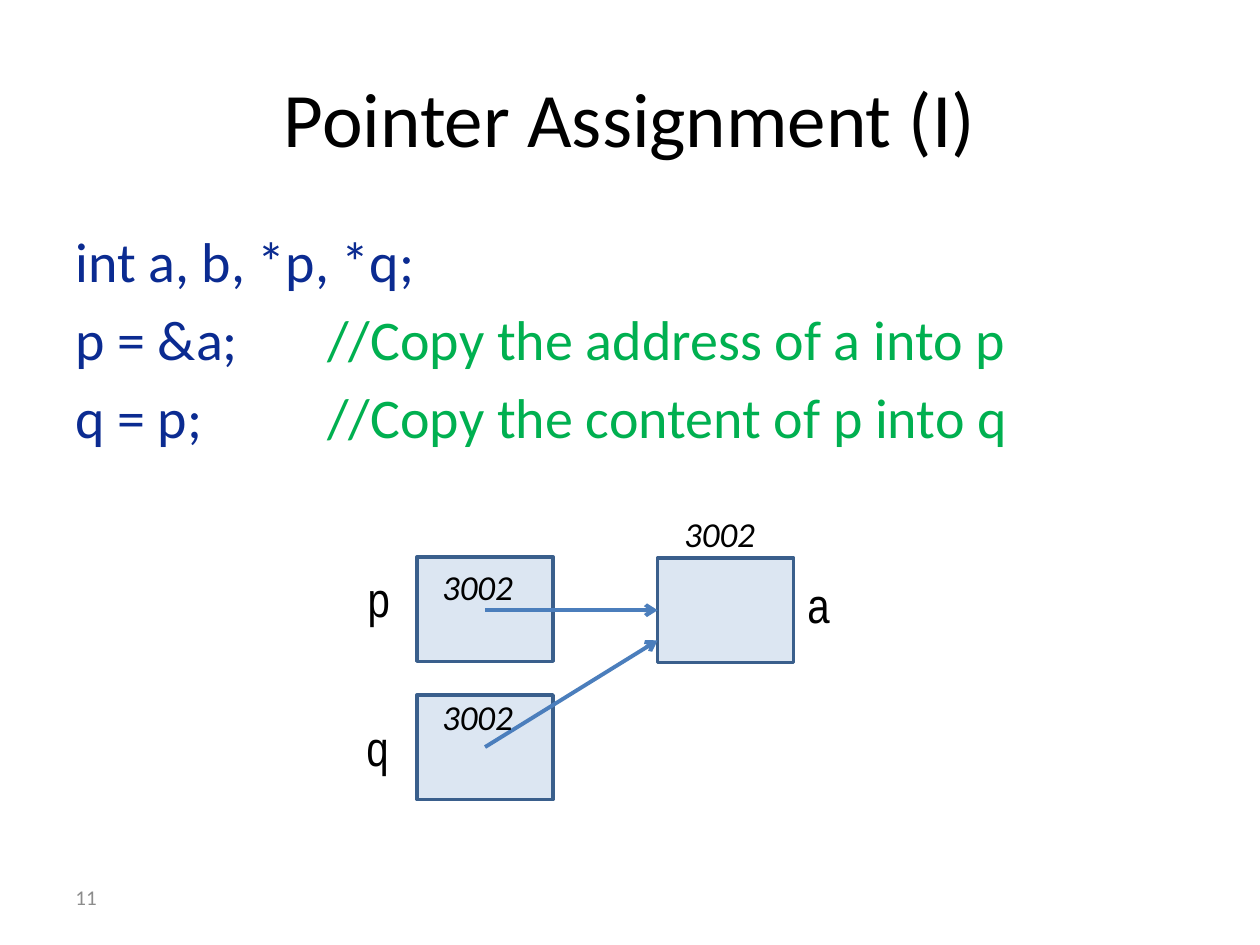
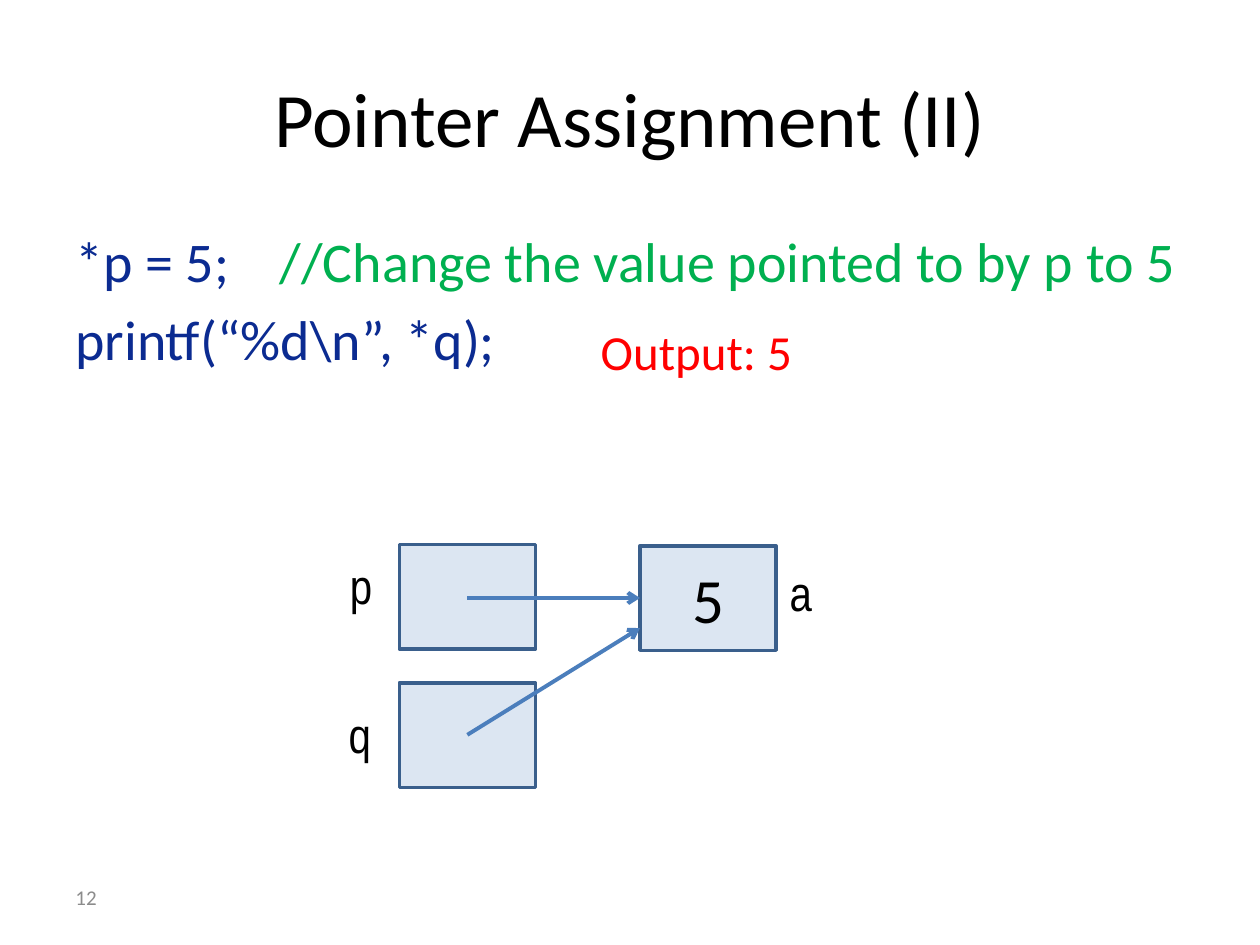
from lxml.etree import SubElement
from pptx import Presentation
from pptx.dml.color import RGBColor
from pptx.enum.shapes import MSO_CONNECTOR as Connector, MSO_SHAPE as Preset
from pptx.enum.text import MSO_ANCHOR as Anchor, MSO_AUTO_SIZE as AutoSize, PP_ALIGN as Align
from pptx.oxml.ns import qn
from pptx.util import Pt

BLACK = RGBColor(0x00, 0x00, 0x00)
CODE_BLUE = RGBColor(0x0B, 0x2B, 0x91)
COMMENT_GREEN = RGBColor(0x00, 0xB0, 0x50)
OUTPUT_RED = RGBColor(0xFF, 0x00, 0x00)
NUMBER_GREY = RGBColor(0x8C, 0x8C, 0x8C)
CELL_FILL = RGBColor(0xDC, 0xE6, 0xF2)
CELL_EDGE = RGBColor(0x3A, 0x5F, 0x8C)
ARROW_BLUE = RGBColor(0x4B, 0x7E, 0xBC)

BODY_FONT = "Calibri"
LABEL_FONT = "Arial Narrow"

CELL_W, CELL_H = 77.76, 59.76
TARGET_X = 137.5  # left edge of cell a, measured from cell p
ROW_STEP = 79  # from cell p down to cell q


class Deck:
    """Holds the style and the current slide."""

    def __init__(self):
        """Open an empty 10 by 7.5 inch presentation."""
        self.file = Presentation()
        self.file.slide_width, self.file.slide_height = Pt(720), Pt(540)
        self.slide = None

    def new_slide(self, title, number):
        """Start a slide with its title and number."""
        self.slide = self.file.slides.add_slide(self.file.slide_layouts[6])
        self.text(title, 36, 21.6, 648, 90, 44, anchor=Anchor.MIDDLE, align=Align.CENTER)
        self.text(number, 36, 498.24, 168, 28.8, 12, NUMBER_GREY, anchor=Anchor.MIDDLE)

    def run(self, paragraph, words, size, color, font=BODY_FONT, italic=False):
        """Add one styled run."""
        run = paragraph.add_run()
        run.text = words
        run.font.size, run.font.name = Pt(size), font
        run.font.italic = italic
        run.font.color.rgb = color

    def text(self, words, x, y, w, h, size, color=BLACK, font=BODY_FONT, italic=False,
             anchor=Anchor.TOP, align=Align.LEFT, wrap=True):
        """Add a text box with one line."""
        frame = self.slide.shapes.add_textbox(Pt(x), Pt(y), Pt(w), Pt(h)).text_frame
        frame.word_wrap, frame.auto_size = wrap, AutoSize.NONE
        frame.vertical_anchor = anchor
        frame.paragraphs[0].alignment = align
        self.run(frame.paragraphs[0], words, size, color, font, italic)

    def code(self, lines, comment_x):
        """Add code lines, their comments aligned on a tab stop."""
        frame = self.slide.shapes.add_textbox(Pt(36), Pt(126), Pt(648), Pt(356.4)).text_frame
        frame.word_wrap = True
        for index, (statement, comment) in enumerate(lines):
            line = frame.add_paragraph() if index else frame.paragraphs[0]
            line.space_before = Pt(6)
            self.run(line, statement + ("\t" if comment else ""), 32, CODE_BLUE)
            if comment:
                stops = SubElement(line._p.get_or_add_pPr(), qn("a:tabLst"))
                SubElement(stops, qn("a:tab"), pos=str(Pt(comment_x)), algn="l")
                self.run(line, comment, 32, COMMENT_GREEN)

    def cell(self, x, y, value=""):
        """Add a memory cell, with a value if it has one."""
        cell = self.slide.shapes.add_shape(Preset.RECTANGLE, Pt(x), Pt(y), Pt(CELL_W), Pt(CELL_H))
        cell.shadow.inherit = False
        cell.fill.solid()
        cell.fill.fore_color.rgb = CELL_FILL
        cell.line.color.rgb, cell.line.width = CELL_EDGE, Pt(2)
        if value:
            cell.text_frame.vertical_anchor = Anchor.MIDDLE
            cell.text_frame.paragraphs[0].alignment = Align.CENTER
            self.run(cell.text_frame.paragraphs[0], value, 36, BLACK)

    def arrow(self, x1, y1, x2, y2):
        """Add a pointer arrow with an open head."""
        arrow = self.slide.shapes.add_connector(Connector.STRAIGHT, Pt(x1), Pt(y1), Pt(x2), Pt(y2))
        arrow.line.color.rgb, arrow.line.width = ARROW_BLUE, Pt(2.25)
        SubElement(arrow.line._get_or_add_ln(), qn("a:tailEnd"), type="arrow")
        SubElement(arrow._element.spPr, qn("a:effectLst"))

    def pointers(self, x, y, value=""):
        """Draw p and q pointing to a, with cell p at (x, y)."""
        self.cell(x + TARGET_X, y + 0.7, value)
        self.cell(x, y)
        self.cell(x, y + ROW_STEP)
        for name, dx, dy in (("p", -35.3, 3), ("q", -36, 88), ("a", 216, 6.5)):
            self.text(name, x + dx, y + dy, 36, 41, 28, font=LABEL_FONT)
        for start_y, end_y in ((30.5, 30.5), (108.7, 47.7)):
            self.arrow(x + CELL_W / 2, y + start_y, x + TARGET_X, y + end_y)

    def addresses(self, address, places):
        """Write one address at several places."""
        for x, y in places:
            self.text(address, x, y, 90, 31.5, 20, italic=True)


deck = Deck()

deck.new_slide("Pointer Assignment (I)", "11")
deck.code([("int a, b, *p, *q;", ""),
           ("p = &a;", "//Copy the address of a into p"),
           ("q = p;", "//Copy the content of p into q")], 144)
deck.pointers(238.3, 318.2)
deck.addresses("3002", [(383.8, 289.4), (245.5, 319.7), (245.5, 393.8)])

deck.new_slide("Pointer Assignment (II)", "12")
deck.code([("*p = 5;", "//Change the value pointed to by p to 5"),
           ("printf(“%d\\n”, *q);", "")], 116.8)
deck.pointers(228.2, 311.2, "5")
deck.text("Output: 5", 336.2, 180, 125.3, 41, 28, OUTPUT_RED, wrap=False)

deck.file.save("out.pptx")
